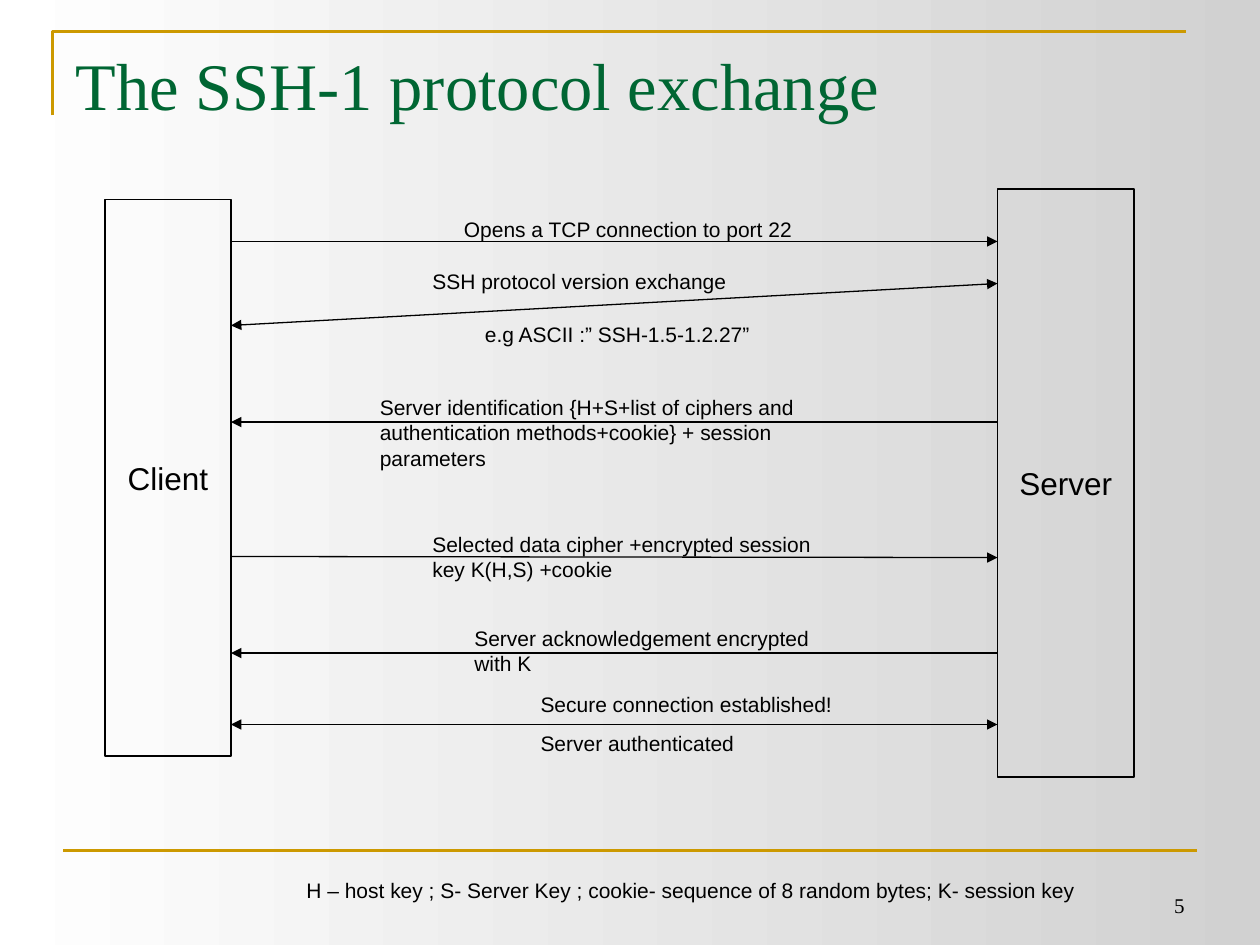
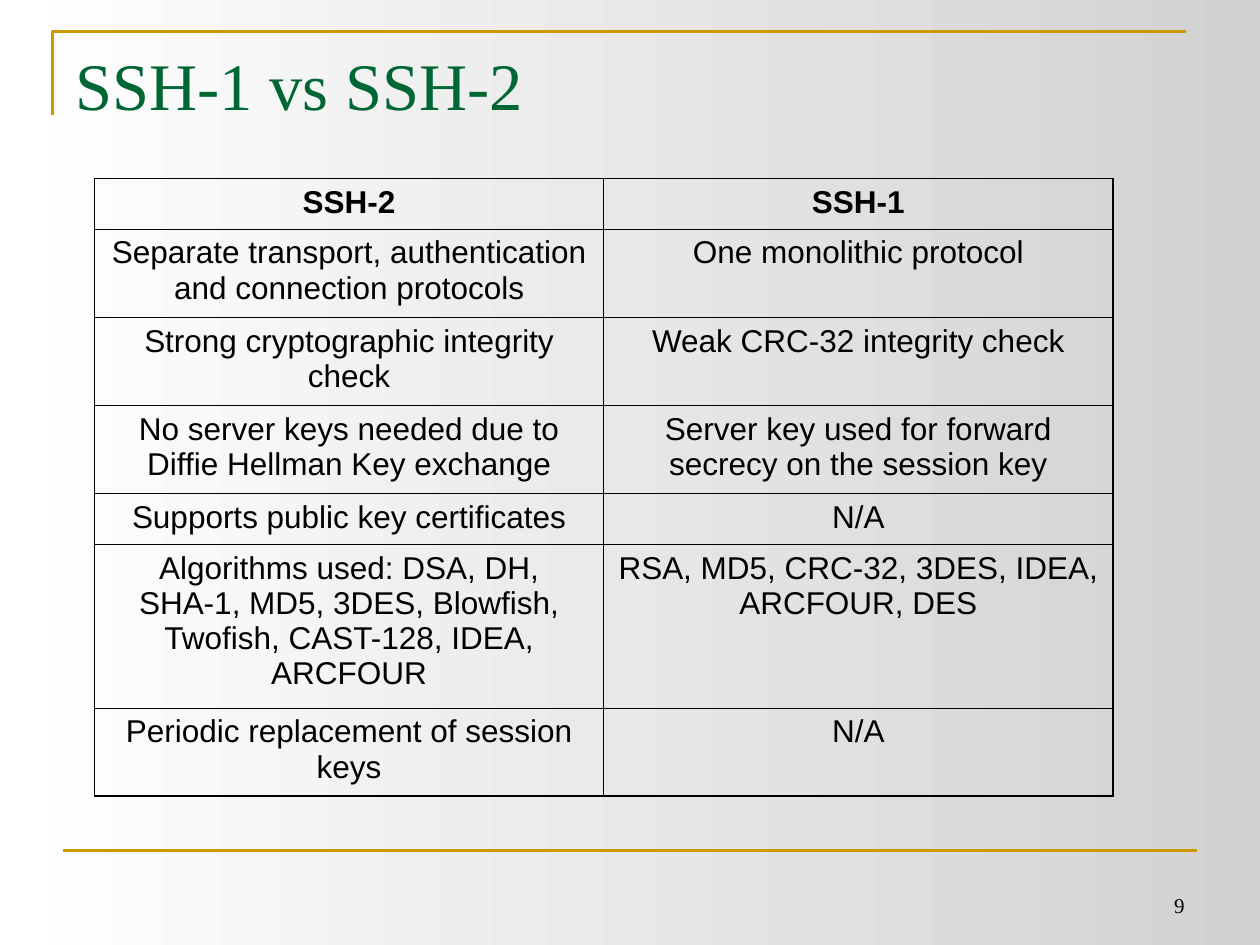
import pptx
import pptx.util
import pptx.dml.color
import pptx.enum.shapes
import pptx.enum.text
import pptx.oxml
import pptx.oxml.ns

COLUMNS, ROWS = 120, 90
COLORS = {"ink": "000000", "title": "006633", "rule": "CC9900",
          "light": "FFFFFF", "shade": "D1D1D1"}
ALIGN = pptx.enum.text.PP_ALIGN
ANCHOR = pptx.enum.text.MSO_ANCHOR

CLIENT = (10, 19, 12, 53)
SERVER = (95, 18, 13, 56)
CLIENT_EDGE, SERVER_EDGE = CLIENT[0] + CLIENT[2], SERVER[0]

ARROWS = [
    ((CLIENT_EDGE, 23), (SERVER_EDGE, 23), False),
    ((SERVER_EDGE, 27), (CLIENT_EDGE, 31), True),
    ((SERVER_EDGE, 40.2), (CLIENT_EDGE, 40.2), False),
    ((CLIENT_EDGE, 53), (SERVER_EDGE, 53.1), False),
    ((SERVER_EDGE, 62.2), (CLIENT_EDGE, 62.2), False),
    ((CLIENT_EDGE, 69), (SERVER_EDGE, 69), True),
]

LABELS = [
    ((43, 20, 34, 3.6), "Opens a TCP connection to port 22"),
    ((40, 25, 34, 3.6), "SSH protocol version exchange"),
    ((45, 30, 34, 3.6), "e.g ASCII :” SSH-1.5-1.2.27”"),
    ((35, 37, 42, 8.4), "Server identification {H+S+list of ciphers and "
                        "authentication methods+cookie} + session parameters"),
    ((40, 50, 42, 6), "Selected data cipher +encrypted session\vkey K(H,S) +cookie"),
    ((44, 59, 35, 6), "Server acknowledgement encrypted with K"),
    ((50.3, 65.3, 35, 7.3), "Secure connection established!\nServer authenticated"),
    ((28, 83, 76, 3.6), "H – host key ; S- Server Key ; cookie- sequence of 8 "
                        "random bytes; K- session key"),
]

COMPARISON = [
    (1, "SSH-2", "SSH-1"),
    (2, "Separate transport, authentication and connection protocols",
     "One monolithic protocol"),
    (2, "Strong cryptographic integrity check", "Weak CRC-32 integrity check"),
    (2, "No server keys needed due to Diffie Hellman Key exchange",
     "Server key used for forward secrecy on the session key"),
    (1, "Supports public key certificates", "N/A"),
    (4, "Algorithms used: DSA, DH, SHA-1, MD5, 3DES, Blowfish, Twofish, "
        "CAST-128, IDEA, ARCFOUR",
     "RSA, MD5, CRC-32, 3DES, IDEA, ARCFOUR, DES"),
    (2, "Periodic replacement of session keys", "N/A"),
]


def rgb(name):
    """Return the named colour."""
    return pptx.dml.color.RGBColor.from_string(COLORS[name])


class Board:
    """Holds the deck's style and draws on the current page by grid units."""

    def __init__(self):
        """Start the deck with its size and shared background."""
        self.deck = pptx.Presentation()
        self.deck.slide_width = pptx.util.Inches(10)
        self.deck.slide_height = pptx.util.Inches(7.5)
        self.page = None
        fill = self.deck.slide_master.background.fill
        fill.gradient()
        fill.gradient_angle = 0
        for stop, name in zip(fill.gradient_stops, ("light", "shade")):
            stop.color.rgb = rgb(name)

    def place(self, *units):
        """Turn alternating columns and rows into lengths."""
        steps = (self.deck.slide_width / COLUMNS, self.deck.slide_height / ROWS)
        return [pptx.util.Emu(round(unit * steps[index % 2]))
                for index, unit in enumerate(units)]

    def set_text(self, frame, text, size, font="Arial", color="ink",
                 align=ALIGN.LEFT, before=0, bold=False):
        """Fill a text frame and format its paragraphs."""
        frame.text = text
        for para in frame.paragraphs:
            para.alignment = align
            para.space_before = pptx.util.Pt(before)
            para.font.name = font
            para.font.size = pptx.util.Pt(size)
            para.font.bold = bold
            para.font.color.rgb = rgb(color)

    def add_page(self, title, number, title_rows):
        """Add a page with its title, frame rules and number."""
        self.page = self.deck.slides.add_slide(self.deck.slide_layouts[5])
        box = self.page.shapes.title
        box.left, box.top, box.width, box.height = self.place(6, 3.6, 108, title_rows)
        frame = box.text_frame
        frame.auto_size = pptx.enum.text.MSO_AUTO_SIZE.NONE
        frame.vertical_anchor = ANCHOR.TOP
        self.set_text(frame, title, 38, "Times New Roman", "title")
        self.corner((5, 11), (5, 3), (113, 3))
        self.line((6, 81), (114, 81), "rule", 1.5)
        self.text((86, 82, 28, 6), number, anchor=ANCHOR.BOTTOM,
                  font="Times New Roman", align=ALIGN.RIGHT)

    def corner(self, start, *points):
        """Draw an open outline through the points."""
        builder = self.page.shapes.build_freeform(*self.place(*start))
        builder.add_line_segments([self.place(*point) for point in points], close=False)
        shape = builder.convert_to_shape()
        shape.shadow.inherit = False
        shape.fill.background()
        self.stroke(shape.line, "rule", 1.5)

    def stroke(self, line, color, width):
        """Set the colour and width of a line."""
        line.color.rgb = rgb(color)
        line.width = pptx.util.Pt(width)

    def line(self, start, end, color="ink", width=0.75, arrows=()):
        """Draw a straight line with optional arrowheads."""
        connector = self.page.shapes.add_connector(
            pptx.enum.shapes.MSO_CONNECTOR.STRAIGHT, *self.place(*start, *end))
        self.stroke(connector.line, color, width)
        properties = connector._element.spPr
        outline = properties.find(pptx.oxml.ns.qn("a:ln"))
        for tag in arrows:
            outline.append(pptx.oxml.parse_xml(
                f'<{tag} {pptx.oxml.ns.nsdecls("a")} type="triangle"/>'))
        properties.append(pptx.oxml.parse_xml(
            f'<a:effectLst {pptx.oxml.ns.nsdecls("a")}/>'))

    def text(self, area, text, anchor=ANCHOR.TOP, **style):
        """Add a wrapping text box."""
        box = self.page.shapes.add_textbox(*self.place(*area))
        box.text_frame.word_wrap = True
        box.text_frame.vertical_anchor = anchor
        self.set_text(box.text_frame, text, 12, **style)

    def party(self, area, name):
        """Draw an outlined rectangle for one side of the exchange."""
        box = self.page.shapes.add_shape(
            pptx.enum.shapes.MSO_SHAPE.RECTANGLE, *self.place(*area))
        box.shadow.inherit = False
        box.fill.background()
        self.stroke(box.line, "ink", 0.75)
        box.text_frame.word_wrap = False
        box.text_frame.vertical_anchor = ANCHOR.MIDDLE
        self.set_text(box.text_frame, name, 18, align=ALIGN.CENTER)

    def table(self, left, top, column_width, rows):
        """Add a ruled table whose row heights follow their line counts."""
        heights = [1.2 + 3.6 * lines for lines, *_ in rows]
        columns = len(rows[0]) - 1
        table = self.page.shapes.add_table(
            len(rows), columns,
            *self.place(left, top, column_width * columns, sum(heights))).table
        table.first_row = table.horz_banding = False
        for row_index, (_, *texts) in enumerate(rows):
            table.rows[row_index].height = self.place(0, heights[row_index])[1]
            for column_index, text in enumerate(texts):
                cell = table.cell(row_index, column_index)
                cell.fill.background()
                self.set_text(cell.text_frame, text, 18, align=ALIGN.CENTER,
                              before=4.5, bold=row_index == 0)
                self.borders(cell, {
                    "L": column_index == 0, "R": column_index == columns - 1,
                    "T": row_index == 0, "B": row_index == len(rows) - 1})

    def borders(self, cell, sides):
        """Rule a cell, heavier on the sides at the table's edge."""
        properties = cell._tc.get_or_add_tcPr()
        for index, (side, outer) in enumerate(sides.items()):
            width = pptx.util.Pt(1.08 if outer else 0.45)
            properties.insert(index, pptx.oxml.parse_xml(
                f'<a:ln{side} {pptx.oxml.ns.nsdecls("a")} w="{width}"><a:solidFill>'
                f'<a:srgbClr val="{COLORS["ink"]}"/></a:solidFill></a:ln{side}>'))


def main():
    """Build and save the deck."""
    board = Board()
    board.add_page("The SSH-1 protocol exchange", "5", 9.4)
    board.party(CLIENT, "Client")
    board.party(SERVER, "Server")
    for start, end, both in ARROWS:
        board.line(start, end, arrows=("a:headEnd", "a:tailEnd") if both else ("a:tailEnd",))
    for area, label in LABELS:
        board.text(area, label, before=7.5)
    board.add_page("SSH-1 vs SSH-2", "9", 15)
    board.table(9, 17, 48.5, COMPARISON)
    board.deck.save("out.pptx")


if __name__ == "__main__":
    main()
